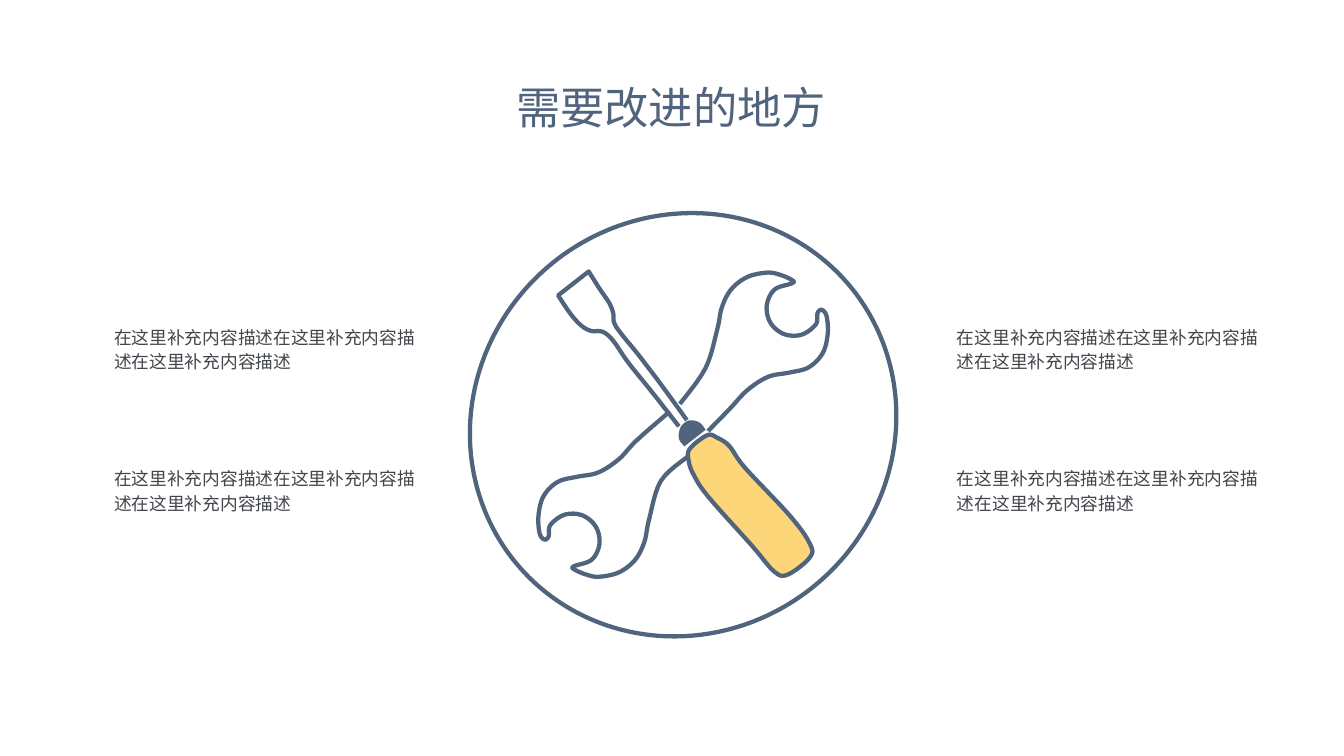
from dataclasses import dataclass
from itertools import product
from math import atan2, cos, radians, sin

from lxml.etree import SubElement
from pptx import Presentation
from pptx.dml.color import RGBColor as RGB
from pptx.enum.shapes import MSO_SHAPE as Shape
from pptx.enum.text import MSO_ANCHOR as Anchor, MSO_AUTO_SIZE as AutoSize, PP_ALIGN as Align
from pptx.oxml.ns import qn
from pptx.util import Pt


@dataclass(frozen=True)
class Theme:
    font: str = "Noto Sans CJK SC"
    slate: RGB = RGB.from_string("51647E")
    yellow: RGB = RGB.from_string("FDD67A")
    body: RGB = RGB.from_string("42464B")
    title_size: float = 30
    body_size: float = 12
    line_spacing: float = 1.16
    stroke: float = 2.9


THEME = Theme()
SLIDE_W, SLIDE_H = 910.08, 511.92
TITLE = "需要改进的地方"
NOTE = "在这里补充内容描述" * 3

# The drawing is laid out around its centre, in units of 1/400 of its box
BOX_UNITS = 400
RING_W, RING_H, RING_TILT = 408, 391, -40

# Screwdriver: an axis from the blade's tip to the handle's end, and
# profiles of (distance along the axis, width to its left, width to its right)
TIP, HANDLE_END = (-103, -133), (106, 134)
BLADE = [(0, 18.5, 18), (20, 20, 16), (35, 19, 15), (45, 15, 12), (53, 6.5, 7),
         (66, 4, 6), (90, 5.5, 6.5), (127, 5, 6), (167, 5, 4.5)]
FERRULE = [(168.5, 4, 6), (176, 12, 12.5), (185, 12.5, 13)]
HANDLE = [(190, 10, 11), (198, 17.5, 17), (211, 22, 21), (236, 24, 20),
          (298, 20, 25.5), (330, 18.5, 24), (340, 10, 16)]


def write_text(tf, text, size, color, align):
    """Fill a text frame with one formatted paragraph."""
    frame_format = dict(word_wrap=True, auto_size=AutoSize.SHAPE_TO_FIT_TEXT,
                        vertical_anchor=Anchor.MIDDLE, margin_left=0, margin_top=0,
                        margin_right=0, margin_bottom=0)
    for name, value in frame_format.items():
        setattr(tf, name, value)
    p = tf.paragraphs[0]
    for name, value in dict(alignment=align, line_spacing=THEME.line_spacing).items():
        setattr(p, name, value)
    r = p.add_run()
    r.text = text
    for name, value in dict(name=THEME.font, size=Pt(size)).items():
        setattr(r.font, name, value)
    r.font.color.rgb = color
    SubElement(r.font._element, qn("a:ea")).set("typeface", THEME.font)


def add_title(s, x, y, w, h):
    title = s.shapes.title
    for name, value in dict(left=x, top=y, width=w, height=h).items():
        setattr(title, name, Pt(value))
    write_text(title.text_frame, TITLE, THEME.title_size, THEME.slate, Align.CENTER)


def arc(cx, cy, radius, start, end, count=6):
    """Evenly spaced points on a circle; angles run clockwise from the right."""
    angles = [radians(start + (end - start) * i / (count - 1)) for i in range(count)]
    return [(cx + radius * cos(a), cy + radius * sin(a)) for a in angles]


def smooth(points, closed=False, steps=6):
    """Run a Catmull-Rom curve through the points."""
    if closed:
        padded = [points[-1], *points, *points[:2]]
    else:
        padded = [points[0], *points, points[-1]]
    curve = []
    for a, b, c, d in zip(padded, padded[1:], padded[2:], padded[3:]):
        for t in (i / steps for i in range(steps)):
            curve.append(tuple(
                q + t * (r - p + t * (2 * p - 5 * q + 4 * r - e + t * (3 * (q - r) + e - p))) / 2
                for p, q, r, e in zip(a, b, c, d)))
    return curve if closed else [*curve, points[-1]]


def wrench_half(root_right, root_left):
    """Upper half of the wrench, from one shank root round the head to the other."""
    right_shank = [root_right, (44, -15), (60.5, -32.5), (80, -45)]
    cheek = arc(100, -85, 36, 90, 0, count=4)
    right_tip = [(135, -102), (130.5, -108), (126.5, -105)]
    jaw = arc(104, -109, 25.5, 35, 225)
    left_tip = [(102.5, -133), (102.5, -136), (91, -141)]
    crown = arc(79, -99, 44, 270, 195, count=4)
    left_shank = [(32, -89), (21, -53), root_left]
    return smooth(right_shank + cheek + right_tip + jaw + left_tip + crown + left_shank)


def half_turn(points):
    return [(-px, -py) for px, py in points]


def rails(profile):
    """Left edge towards the tip and right edge away from it."""
    angle = atan2(HANDLE_END[1] - TIP[1], HANDLE_END[0] - TIP[0])

    def place(along, offset):
        return (TIP[0] + along * cos(angle) + offset * sin(angle),
                TIP[1] + along * sin(angle) - offset * cos(angle))

    left = [place(along, -width) for along, width, _ in reversed(profile)]
    right = [place(along, width) for along, _, width in profile]
    return left, right


def paint(sp, fill=None, stroke=True):
    sp.shadow.inherit = False
    if fill is None:
        sp.fill.background()
    else:
        sp.fill.solid()
        sp.fill.fore_color.rgb = fill
    if stroke:
        sp.line.color.rgb = THEME.slate
        sp.line.width = Pt(THEME.stroke)
    else:
        sp.line.fill.background()


def add_tools(s, x, y, size):
    """Crossed wrench and screwdriver in a tilted ring."""
    unit = size / BOX_UNITS
    cx, cy = x + size / 2, y + size / 2

    def add_outline(points, closed=False, **look):
        outline = [(Pt(cx + px * unit), Pt(cy + py * unit)) for px, py in points]
        builder = s.shapes.build_freeform(*outline[0])
        builder.add_line_segments(outline[1:], close=closed)
        paint(builder.convert_to_shape(), **look)

    # Ring
    w, h = RING_W * unit, RING_H * unit
    ring = s.shapes.add_shape(Shape.OVAL, Pt(cx - w / 2), Pt(cy - h / 2), Pt(w), Pt(h))
    ring.rotation = RING_TILT
    paint(ring)

    # Wrench: the lower half is the upper one given a half turn
    add_outline(wrench_half((23.5, 6), (-3, -19.5)))
    add_outline(half_turn(wrench_half((12.5, 12.5), (-3.5, -30.5))))

    # Screwdriver: the blade keeps sharp corners at its tip
    left, right = rails(BLADE)
    add_outline(smooth(left) + smooth(right))
    left, right = rails(FERRULE)
    add_outline(smooth(left + right), closed=True, fill=THEME.slate, stroke=False)
    left, right = rails(HANDLE)
    add_outline(smooth(left + right, closed=True), closed=True, fill=THEME.yellow)


def add_notes_grid(s, x, y, col_step, row_step, w, h):
    """Two by two description texts, either side of the drawing."""
    for row, col in product(range(2), repeat=2):
        tb = s.shapes.add_textbox(Pt(x + col * col_step), Pt(y + row * row_step), Pt(w), Pt(h))
        write_text(tb.text_frame, NOTE, THEME.body_size, THEME.body, Align.LEFT)


def main():
    prs = Presentation()
    prs.slide_width, prs.slide_height = Pt(SLIDE_W), Pt(SLIDE_H)
    s = prs.slides.add_slide(prs.slide_layouts[5])
    # Title
    add_title(s, 310, 47.5, 289, 44)
    # Central drawing
    add_tools(s, 318.6, 143.6, 288)
    # Descriptions
    add_notes_grid(s, 77.3, 218, 570.7, 95.8, 212, 35)
    prs.save("out.pptx")


if __name__ == "__main__":
    main()
